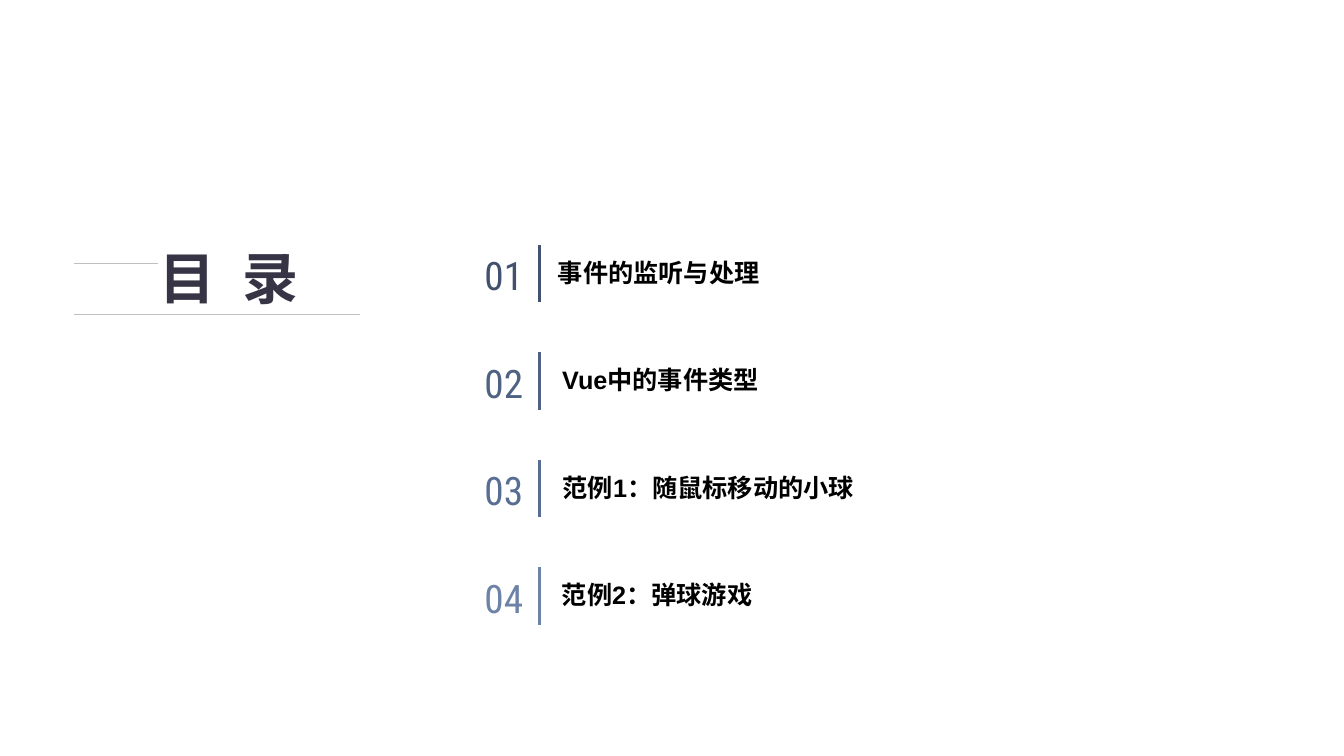
from pptx import Presentation
from pptx.dml.color import RGBColor
from pptx.enum.shapes import MSO_CONNECTOR
from pptx.enum.text import MSO_ANCHOR, MSO_AUTO_SIZE
from pptx.oxml.ns import qn
from pptx.util import Cm, Pt
from lxml.etree import SubElement

ENTRIES = [
    ("01", "事件的监听与处理", "42516E", 1.85),
    ("02", "Vue中的事件类型", "4F6283", 1.96),
    ("03", "范例1：随鼠标移动的小球", "586D92", 1.97),
    ("04", "范例2：弹球游戏", "6D82A7", 1.95),
]
ENTRY_PITCH = 2.71


def color(value):
    return RGBColor.from_string(value)


def add_line(page, start, end, line_color, width):
    connector = page.shapes.add_connector(
        MSO_CONNECTOR.STRAIGHT, *[Cm(length) for length in (*start, *end)])
    connector.line.color.rgb = color(line_color)
    connector.line.width = Pt(width)
    SubElement(connector._element.spPr, qn("a:effectLst"))


def add_text(page, area, text, font, size, text_color, bold=False,
             anchor=MSO_ANCHOR.MIDDLE):
    box = page.shapes.add_textbox(*[Cm(length) for length in area])
    frame = box.text_frame
    frame.text = text
    frame.word_wrap = True
    frame.auto_size = MSO_AUTO_SIZE.NONE
    frame.vertical_anchor = anchor
    para = frame.paragraphs[0]
    span = para.runs[0]
    span.font.name = font
    span.font.size = Pt(size)
    span.font.bold = bold
    span.font.color.rgb = color(text_color)
    return para


def add_heading(page, left, top, width, height):
    bottom = top + height
    rule_top = top + 0.46
    add_line(page, (left + 2.11, rule_top), (left, rule_top), "BFBFBF", 0.5)
    add_line(page, (left, bottom), (left + width, bottom), "BFBFBF", 0.5)
    para = add_text(page, (left + 1.9, top, width - 1.9, 1.83), "目 录",
                    "Arial", 40, "373545", bold=True)
    para.line_spacing = 0.9
    para.runs[0].font._element.set("spc", "550")


def add_entry(page, left, top, height, number, title, accent, indent):
    divider = left + 1.63
    add_text(page, (left, top + 0.05, 1.63, 1.42), number,
             "Roboto Condensed", 28, accent)
    add_line(page, (divider, top), (divider, top + height), accent, 2.25)
    add_text(page, (left + indent, top + 0.22, 10.03, 0.97), title,
             "Arial", 18, "000000", bold=True, anchor=MSO_ANCHOR.BOTTOM)


def add_contents(page, left, top):
    for index, entry in enumerate(ENTRIES):
        add_entry(page, left, top + index * ENTRY_PITCH, 1.44, *entry)


def main():
    deck = Presentation()
    deck.slide_width = Cm(33.87)
    deck.slide_height = Cm(19.05)
    page = deck.slides.add_slide(deck.slide_layouts[6])
    add_heading(page, 1.86, 6.17, 7.21, 1.75)
    add_contents(page, 11.96, 6.17)
    deck.save("out.pptx")


if __name__ == "__main__":
    main()
